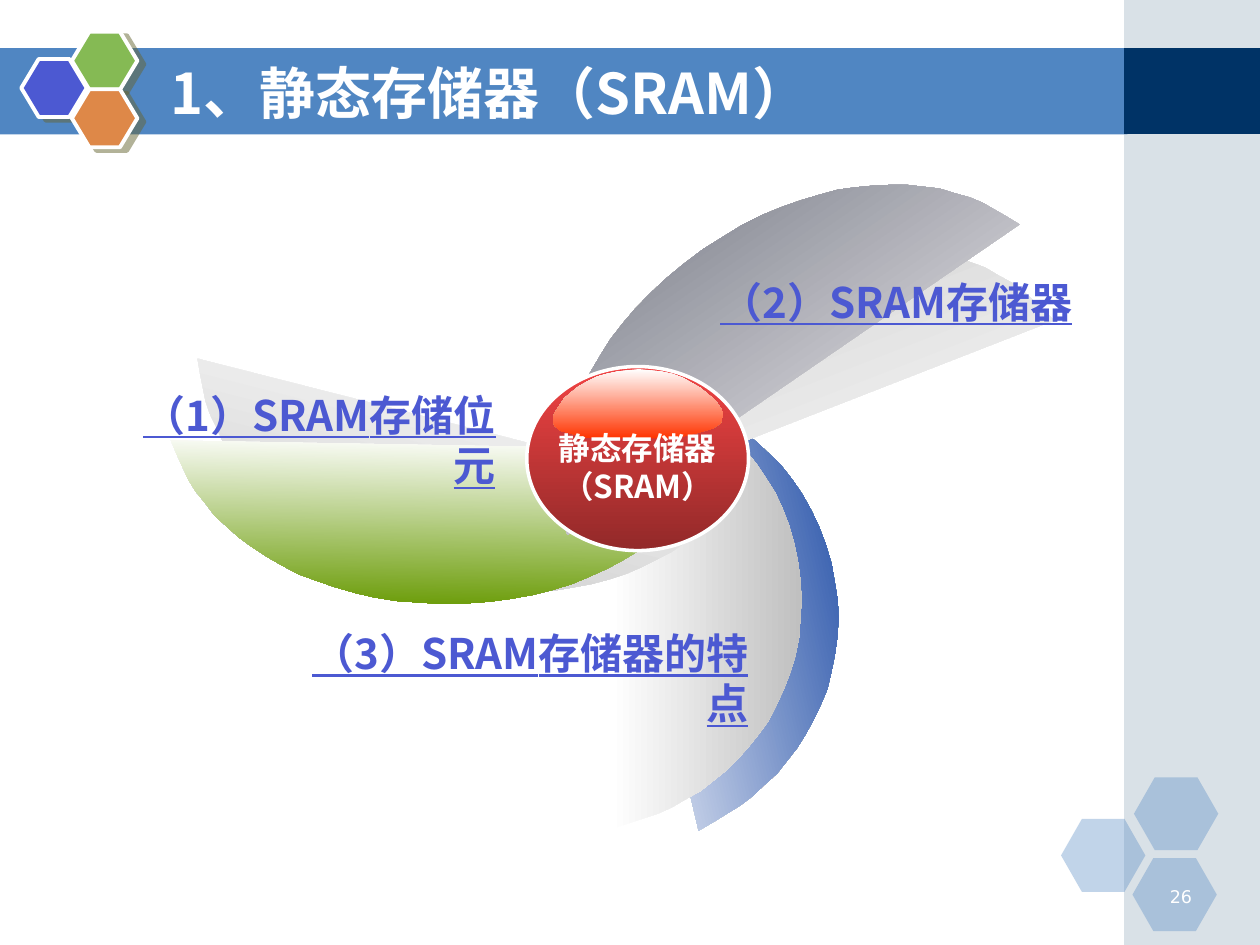
"""Build the SRAM overview slide with three pinwheel petals around a hub."""
from pptx import Presentation
from pptx.dml.color import RGBColor
from pptx.enum.shapes import MSO_SHAPE as Shape
from pptx.enum.text import MSO_ANCHOR as Anchor, PP_ALIGN as Align
from pptx.oxml import parse_xml
from pptx.oxml.ns import nsdecls, qn
from pptx.util import Cm, Pt

FONT = "Noto Sans CJK SC"
WHITE, LINK = "FFFFFF", "4C59D2"

TITLE = "1、静态存储器（SRAM）"
HUB = ["静态存储器", "（SRAM）"]
LABELS = [
    ("（1）SRAM存储位元", (2.49, 7.72, 7.75, 1.27), Align.RIGHT),
    ("（2）SRAM存储器", (14.27, 5.44, 8.28, 1.27), Align.LEFT),
    ("（3）SRAM存储器的特点", (5.89, 12.52, 9.45, 1.27), Align.RIGHT),
]
BARS = [
    ((0, 0.97, 22.73, 1.74), "5086C2", 100),
    ((22.66, 0, 2.74, 19.05), "A0B5C4", 40),
    ((22.66, 0.97, 2.74, 1.73), "003366", 100),
]
CORNER_HEXAGONS = [(21.39, 16.51), (22.86, 15.67), (22.83, 17.3)]
LOGO_HEXAGONS = [(0.43, 1.19, LINK), (1.45, 0.64, "85BA54"), (1.45, 1.8, "DE8848")]

PETAL_SIZES = {"tall": (3.84, 9.22), "long": (3.2, 11.05)}
PETALS = [
    (12.98, 7.21, "tall", 346.8, "003399"),
    (12.32, 7.49, "tall", 0, "C0C0C0"),
    (7.34, 4.62, "long", 104.3, "C0C0C0"),
    (13.92, 1.45, "long", 248.7, "C0C0C0"),
    (7.34, 5.05, "long", 91, "669900"),
    (13.49, 0.81, "long", 235.5, "565868"),
]
PETAL_OUTLINE = [
    (0, 0), (12, 2), (23, 6), (35, 10), (46, 15), (57, 21), (68, 28), (78, 36),
    (88, 44), (98, 53), (107, 63), (115, 73), (123, 85), (130, 96), (136, 109),
    (141, 122), (145, 136), (148, 150), (150, 165), (151, 181), (150, 197),
    (149, 211), (146, 226), (142, 239), (137, 252), (131, 265), (125, 277),
    (117, 288), (109, 298), (100, 308), (91, 317), (81, 325), (71, 333),
    (60, 339), (48, 346), (37, 351), (25, 355), (13, 359), (0, 363),
]
GLOSS_BOX = (11.15, 7.44, 3.43, 1.4)
GLOSS_OUTLINE = [
    (133, 31), (135, 34), (135, 37), (133, 43), (127, 47), (117, 50), (105, 53),
    (91, 55), (81, 55), (48, 55), (35, 55), (24, 54), (14, 51), (6, 49), (1, 45),
    (0, 40), (1, 35), (5, 29), (9, 23), (15, 18), (20, 14), (27, 10), (35, 6),
    (42, 4), (51, 2), (59, 1), (68, 0), (77, 1), (86, 2), (95, 4), (103, 7),
    (110, 11), (117, 15), (123, 20), (129, 25),
]


def color(value):
    return RGBColor.from_string(value)


def paint(shape, fill, alpha=100, end=None, angle=0, line=None, width=2.25):
    shape.shadow.inherit = False
    if end:
        shape.fill.gradient()
        shape.fill.gradient_angle = angle
        for stop, position, value in zip(shape.fill.gradient_stops, (0, 1), (fill, end)):
            stop.position = position
            stop.color.rgb = color(value)
    else:
        shape.fill.solid()
        shape.fill.fore_color.rgb = color(fill)
    if alpha < 100:
        node = shape.element.spPr.find(qn("a:solidFill"))[0]
        node.append(parse_xml(f'<a:alpha {nsdecls("a")} val="{alpha * 1000}"/>'))
    if line:
        shape.line.color.rgb = color(line)
        shape.line.width = Pt(width)
    else:
        shape.line.fill.background()
    return shape


def add_preset(kind, box, fill, **style):
    return paint(slide.shapes.add_shape(kind, *map(Cm, box)), fill, **style)


def add_hexagon(box, fill, adjust, **style):
    shape = add_preset(Shape.HEXAGON, box, fill, **style)
    shape.adjustments[0] = adjust
    return shape


def add_outline(points, box, **style):
    left, top, width, height = map(Cm, box)
    scale = (width / max(x for x, _ in points), height / max(y for _, y in points))
    builder = slide.shapes.build_freeform(*points[0], scale=scale)
    builder.add_line_segments(points[1:], close=True)
    return paint(builder.convert_to_shape(left, top), **style)


def write(frame, lines, size, value, font=FONT, bold=True, underline=None,
          align=Align.LEFT, anchor=Anchor.TOP):
    frame.word_wrap = True
    frame.vertical_anchor = anchor
    for index, line in enumerate(lines):
        paragraph = frame.add_paragraph() if index else frame.paragraphs[0]
        paragraph.alignment = align
        run = paragraph.add_run()
        run.text = line
        run.font.name = font
        run.font.size = Pt(size)
        run.font.bold = bold
        run.font.underline = underline
        run.font.color.rgb = color(value)
        run.font._element.find(qn("a:latin")).addnext(
            parse_xml(f'<a:ea {nsdecls("a")} typeface="{font}"/>'))


def add_text(lines, box, size, value, **style):
    write(slide.shapes.add_textbox(*map(Cm, box)).text_frame, lines, size, value, **style)


presentation = Presentation()
presentation.slide_width, presentation.slide_height = Cm(25.4), Cm(19.05)
slide = presentation.slides.add_slide(presentation.slide_layouts[5])

for box, fill, alpha in BARS:
    add_preset(Shape.RECTANGLE, box, fill, alpha=alpha)
for left, top in CORNER_HEXAGONS:
    add_hexagon((left, top, 1.7, 1.47), "5086C2", 0.286, alpha=35)
for left, top, fill in LOGO_HEXAGONS:
    hexagon = add_hexagon((left, top, 1.32, 1.17), fill, 0.3, line=WHITE)
    hexagon.element.spPr.find(qn("a:effectLst")).append(parse_xml(
        f'<a:outerShdw {nsdecls("a")} dist="{Pt(4.5)}" dir="1620000" algn="ctr" '
        'rotWithShape="0"><a:srgbClr val="666633"><a:alpha val="50000"/>'
        '</a:srgbClr></a:outerShdw>'))
add_text(["26"], (23.01, 17.73, 1.27, 0.64), 10, WHITE,
         font="DejaVu Sans", bold=False, align=Align.RIGHT)

title = slide.shapes.title
title.left, title.top, title.width, title.height = map(Cm, (3.18, 1.07, 18.62, 1.57))
write(title.text_frame, [TITLE], 32, WHITE, anchor=Anchor.MIDDLE)
title.element.getparent().append(title.element)

for left, top, size, rotation, end in PETALS:
    petal = add_outline(PETAL_OUTLINE, (left, top, *PETAL_SIZES[size]), fill=WHITE, end=end)
    petal.rotation = rotation
add_preset(Shape.OVAL, (10.62, 7.39, 4.47, 3.71), "F14343", end="922929",
           angle=270, line=WHITE, width=2)
add_outline(GLOSS_OUTLINE, GLOSS_BOX, fill=WHITE, end="FF3300", angle=270)
add_text(HUB, (11, 8.53, 3.71, 1.78), 18, WHITE, align=Align.CENTER)
for text, box, align in LABELS:
    add_text([text], box, 24, LINK, underline=True, align=align)

presentation.save("out.pptx")
